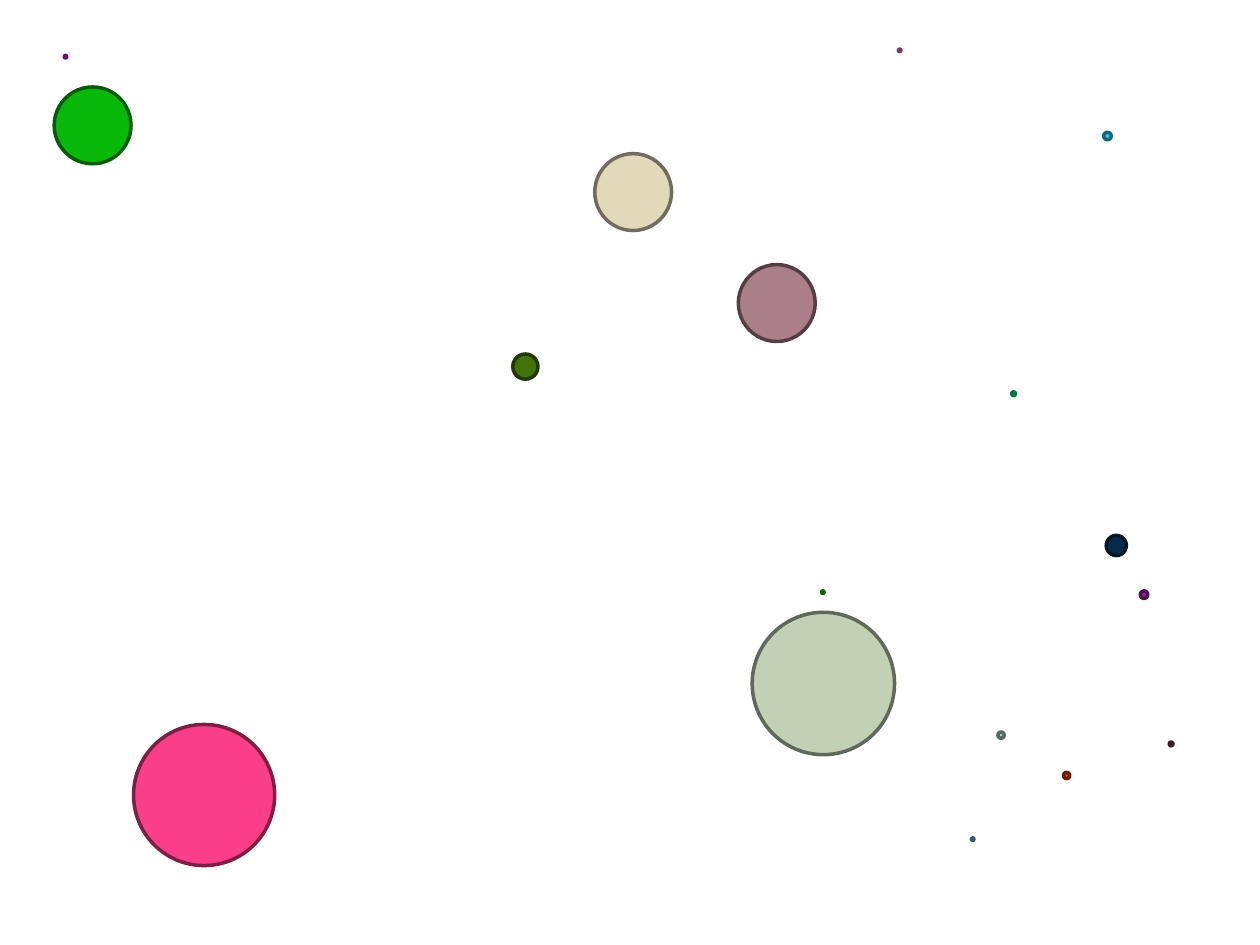
"""Build a slide of scattered circles, each outlined in a half-bright shade of its fill."""
from pptx import Presentation
from pptx.dml.color import RGBColor
from pptx.enum.shapes import MSO_SHAPE
from pptx.util import Inches, Pt

THEME = {
    "line": Pt(2), "sage": "C2D0B5", "pink": "FA3E88", "navy": "082B4B", "leaf": "19C203",
    "sand": "E2D9BA", "green": "08B90A", "mauve": "AB7F89", "orchid": "FE71CE",
    "plum": "86345D", "sky": "6FB2F3", "mist": "AFCFC3", "mint": "0BF182",
    "cyan": "29D1F8", "olive": "427309", "magenta": "ED1FD5", "purple": "9325A0",
    "orange": "E93611",
}

prs = Presentation()
prs.slide_width, prs.slide_height = Inches(10), Inches(7.5)
W, H = prs.slide_width, prs.slide_height
s = prs.slides.add_slide(prs.slide_layouts[6])


def add_circle(color, *, x, y, size):
    """Centre a circle at x, y, sized by width, all in percent of the slide."""
    d = int(W * size / 100)
    left, top = int(W * x / 100 - d / 2), int(H * y / 100 - d / 2)
    sp = s.shapes.add_shape(MSO_SHAPE.OVAL, left, top, d, d)
    sp.shadow.inherit = False
    rgb = RGBColor.from_string(THEME[color])
    sp.fill.solid()
    sp.fill.fore_color.rgb = rgb
    sp.line.color.rgb = RGBColor(*(c // 2 for c in rgb))
    sp.line.width = THEME["line"]


circles = [
    ("sage", 65.35, 72.33, 11.3),
    ("pink", 16.2, 84.13, 11.2),
    ("navy", 88.6, 57.73, 1.6),
    ("leaf", 65.3, 62.67, 0.2),
    ("sand", 50.25, 20.33, 6.1),
    ("green", 7.35, 13.27, 6.1),
    ("mauve", 61.65, 32.07, 6.1),
    ("orchid", 71.4, 5.33, 0.2),
    ("plum", 92.95, 78.73, 0.3),
    ("sky", 77.2, 88.8, 0.2),
    ("mist", 79.45, 77.8, 0.5),
    ("mint", 80.45, 41.67, 0.3),
    ("cyan", 87.9, 14.4, 0.6),
    ("olive", 41.7, 38.8, 2),
    ("magenta", 5.2, 6, 0.2),
    ("purple", 90.8, 62.93, 0.6),
    ("orange", 84.65, 82.07, 0.5),
]
for color, x, y, size in circles:
    add_circle(color, x=x, y=y, size=size)

prs.save("out.pptx")
